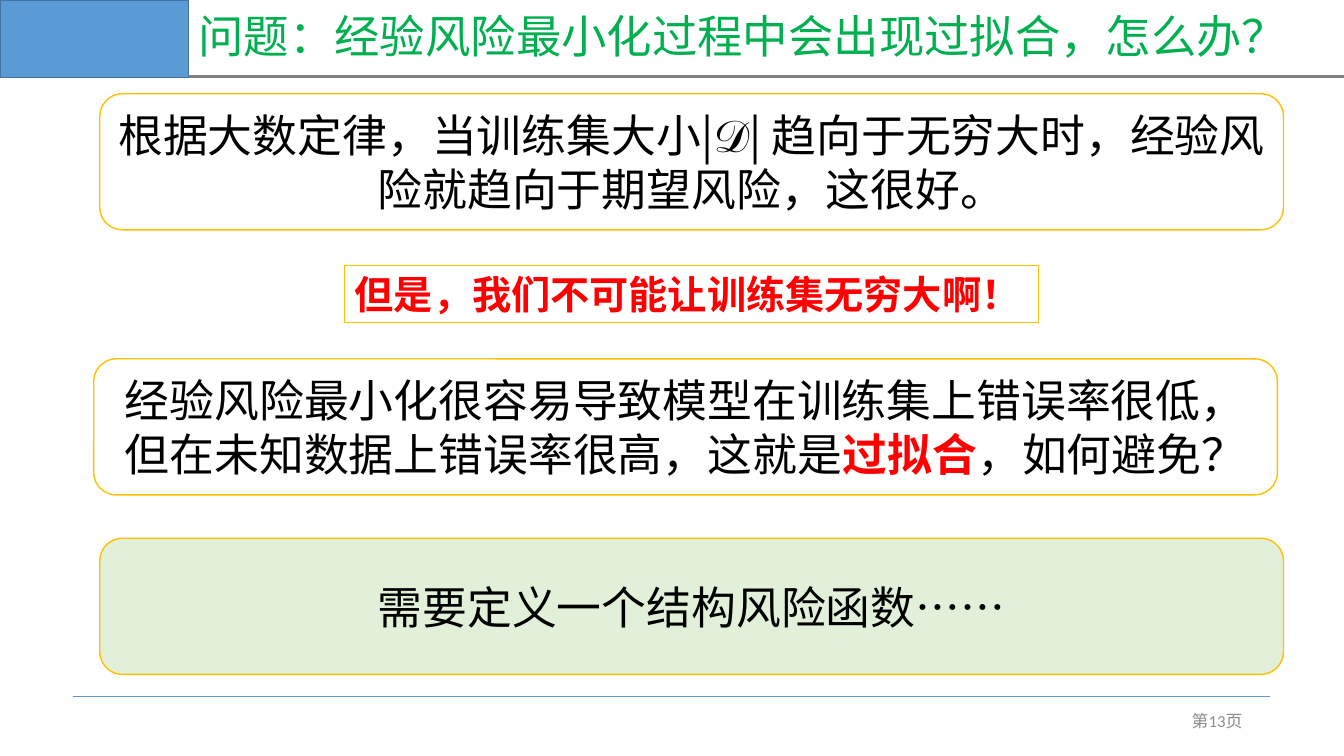
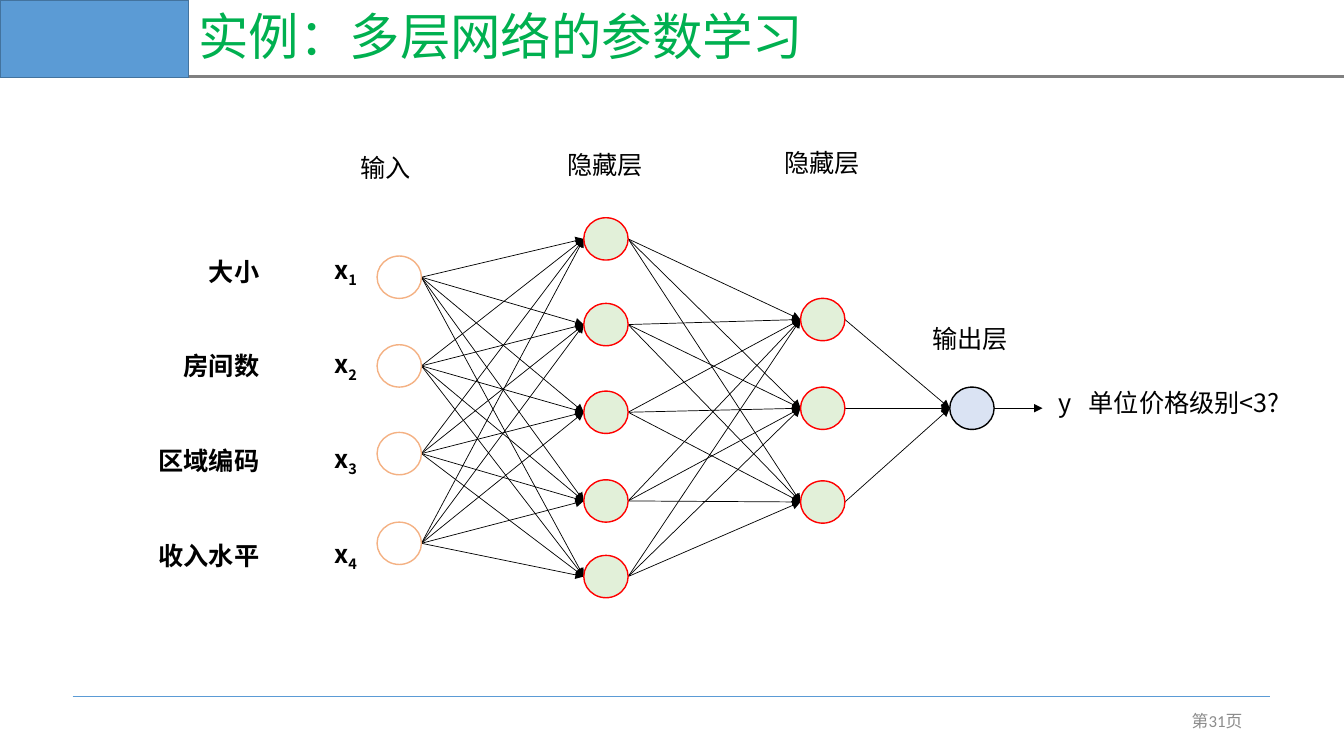
from itertools import product
from lxml.etree import SubElement
from pptx import Presentation
from pptx.dml.color import RGBColor
from pptx.enum.shapes import MSO_CONNECTOR, MSO_SHAPE
from pptx.enum.text import MSO_ANCHOR, PP_ALIGN
from pptx.oxml.ns import qn
from pptx.util import Emu, Pt

SCALE = 9144
WIDE, HIGH = 1333, 750
BLUE = RGBColor(0x5B, 0x9B, 0xD5)
NAVY = RGBColor(0x43, 0x73, 0x9E)
GRAY = RGBColor(0x80, 0x80, 0x80)
PALE = RGBColor(0x8C, 0x8C, 0x8C)
GREEN = RGBColor(0x00, 0xB0, 0x50)
MINT = RGBColor(0xE2, 0xF0, 0xD9)
SKY = RGBColor(0xDA, 0xE3, 0xF3)
GOLD = RGBColor(0xFF, 0xC0, 0x00)
PEACH = RGBColor(0xF4, 0xB1, 0x83)
RED = RGBColor(0xFF, 0x00, 0x00)
BLACK = RGBColor(0x00, 0x00, 0x00)
WHITE = RGBColor(0xFF, 0xFF, 0xFF)
CJK = "Noto Sans CJK SC"

TITLE = {"name": "Arial", "size": Pt(36), "color": GREEN}
LONG = {**TITLE, "size": Pt(32.4)}
PAGE = {"name": "Calibri", "size": Pt(12), "color": PALE}
BODY = {"name": CJK, "size": Pt(32), "color": BLACK}
KEY = {**BODY, "color": RED, "bold": True}
ALERT = {**KEY, "size": Pt(28)}
LABEL = {**BODY, "size": Pt(18)}
STRONG = {**LABEL, "bold": True}


def px(*sizes):
    """Turn px lengths into EMU."""
    return [Emu(size * SCALE) for size in sizes]


def style(run, look):
    """Apply a dict of format values to a run."""
    for key, value in look.items():
        if key == "color":
            run.font.color.rgb = value
        else:
            setattr(run.font, key, value)
    props = run.font._element
    props.set("lang", "zh-CN")
    SubElement(props, qn("a:ea"), typeface=CJK)


def write(shape, parts, align=PP_ALIGN.LEFT, wrap=True, gap=1.0):
    """Write styled parts as one paragraph."""
    frame = shape.text_frame
    for key, value in {"word_wrap": wrap, "vertical_anchor": MSO_ANCHOR.MIDDLE}.items():
        setattr(frame, key, value)
    para = frame.paragraphs[0]
    for key, value in {"alignment": align, "line_spacing": gap}.items():
        setattr(para, key, value)
    for text, look in parts:
        run = para.add_run()
        run.text = text
        style(run, look)
    return para


def label(slide, box, text, look, **flow):
    """Add a text box."""
    return write(slide.shapes.add_textbox(*px(*box)), [(text, look)], **flow)


def panel(slide, kind, box, fill, edge, weight=1):
    """Add a filled and outlined shape."""
    shape = slide.shapes.add_shape(kind, *px(*box))
    shape.shadow.inherit = False
    if fill is None:
        shape.fill.background()
    else:
        shape.fill.solid()
        shape.fill.fore_color.rgb = fill
    shape.line.color.rgb = edge
    shape.line.width = Pt(weight)
    return shape


def rule(slide, start, end, color, weight, arrow=False):
    """Draw a straight line, with an arrowhead if asked."""
    line = slide.shapes.add_connector(MSO_CONNECTOR.STRAIGHT, *px(*start, *end))
    line.line.color.rgb = color
    line.line.width = Pt(weight)
    if arrow:
        SubElement(line.line._get_or_add_ln(), qn("a:tailEnd"), type="triangle")
    SubElement(line._element.spPr, qn("a:effectLst"))


def base(deck, title, look, page):
    """Add a slide with its title band and footer."""
    slide = deck.slides.add_slide(deck.slide_layouts[6])
    rule(slide, (72, 691), (1260, 691), BLUE, 0.5)
    rule(slide, (171, 76), (WIDE, 76), GRAY, 2)
    panel(slide, MSO_SHAPE.RECTANGLE, (0, 0, 187, 77), BLUE, NAVY)
    label(slide, (187, 0, 1146, 77), title, look, gap=0.9)
    label(slide, (942, 695, 300, 40), f"第{page}页", PAGE, align=PP_ALIGN.RIGHT)
    return slide


def card(slide, left, top, fill, parts):
    """Add a rounded card with centred text."""
    box = (left, top, 1174, 135)
    shape = panel(slide, MSO_SHAPE.ROUNDED_RECTANGLE, box, fill, GOLD)
    write(shape, parts, align=PP_ALIGN.CENTER)


def risk(deck):
    """Build the overfitting slide."""
    slide = base(deck, "问题：经验风险最小化过程中会出现过拟合，怎么办？", LONG, 13)
    card(slide, 99, 93, WHITE, [
        ("根据大数定律，当训练集大小|𝒟| 趋向于无穷大时，经验风险就趋向于期望风险，这很好。", BODY)])
    card(slide, 93, 356, WHITE, [
        ("经验风险最小化很容易导致模型在训练集上错误率很低，但在未知数据上错误率很高，这就是", BODY),
        ("过拟合", KEY), ("，如何避免？", BODY)])
    card(slide, 99, 534, MINT, [("需要定义一个结构风险函数……", BODY)])
    note = panel(slide, MSO_SHAPE.RECTANGLE, (342, 263, 688, 57), None, GOLD, 0.75)
    write(note, [("但是，我们不可能让训练集无穷大啊！", ALERT)], wrap=False)


def net(slide, left, top):
    """Draw the network with its layer captions."""
    wide, high = 44, 42
    layers = [
        (0, (38, 126, 213, 302), WHITE, PEACH, "输入", (-26, -70, 71)),
        (205, (0, 85, 172, 260, 335), MINT, RED, "隐藏层", (-26, -73, 96)),
        (420, (80, 168, 261), MINT, RED, "隐藏层", (-26, -75, 96)),
        (568, (168,), SKY, BLACK, "输出层", (-27, 100, 96)),
    ]
    for (x, tops, *_), (goal, ends, *_) in zip(layers, layers[1:]):
        for start, end in product(tops, ends):
            rule(slide, (left + x + wide, top + start + high // 2),
                 (left + goal, top + end + high // 2), BLACK, 0.5, True)
    for x, tops, fill, edge, name, (shift, drop, span) in layers:
        for y in tops:
            panel(slide, MSO_SHAPE.OVAL, (left + x, top + y, wide, high), fill, edge)
        label(slide, (left + x + shift, top + drop, span, 40), name, LABEL, wrap=False)
    last = left + 568 + wide
    mid = top + 168 + high // 2
    rule(slide, (last, mid), (last + 48, mid), BLACK, 0.5, True)
    label(slide, (last + 54, mid - 26, 40, 40), "y", LABEL)
    label(slide, (last + 84, mid - 26, 217, 40), "单位价格级别<3?", LABEL, wrap=False)


def inputs(slide, left, top):
    """List the input features and their symbols."""
    for row, name in enumerate(("大小", "房间数", "区域编码", "收入水平")):
        y = top + 94 * row
        label(slide, (left, y, 204, 40), name, STRONG, align=PP_ALIGN.RIGHT)
        para = label(slide, (left + 204, y, 97, 40), "x", STRONG, align=PP_ALIGN.RIGHT)
        sub = para.add_run()
        sub.text = str(row + 1)
        style(sub, STRONG)
        sub.font._element.set("baseline", "-25000")


def layers(deck):
    """Build the network slide."""
    slide = base(deck, "实例：多层网络的参数学习", TITLE, 31)
    net(slide, 374, 216)
    inputs(slide, 63, 249)


def main():
    """Build and save the deck."""
    deck = Presentation()
    deck.slide_width, deck.slide_height = px(WIDE, HIGH)
    risk(deck)
    layers(deck)
    deck.save("out.pptx")


if __name__ == "__main__":
    main()
